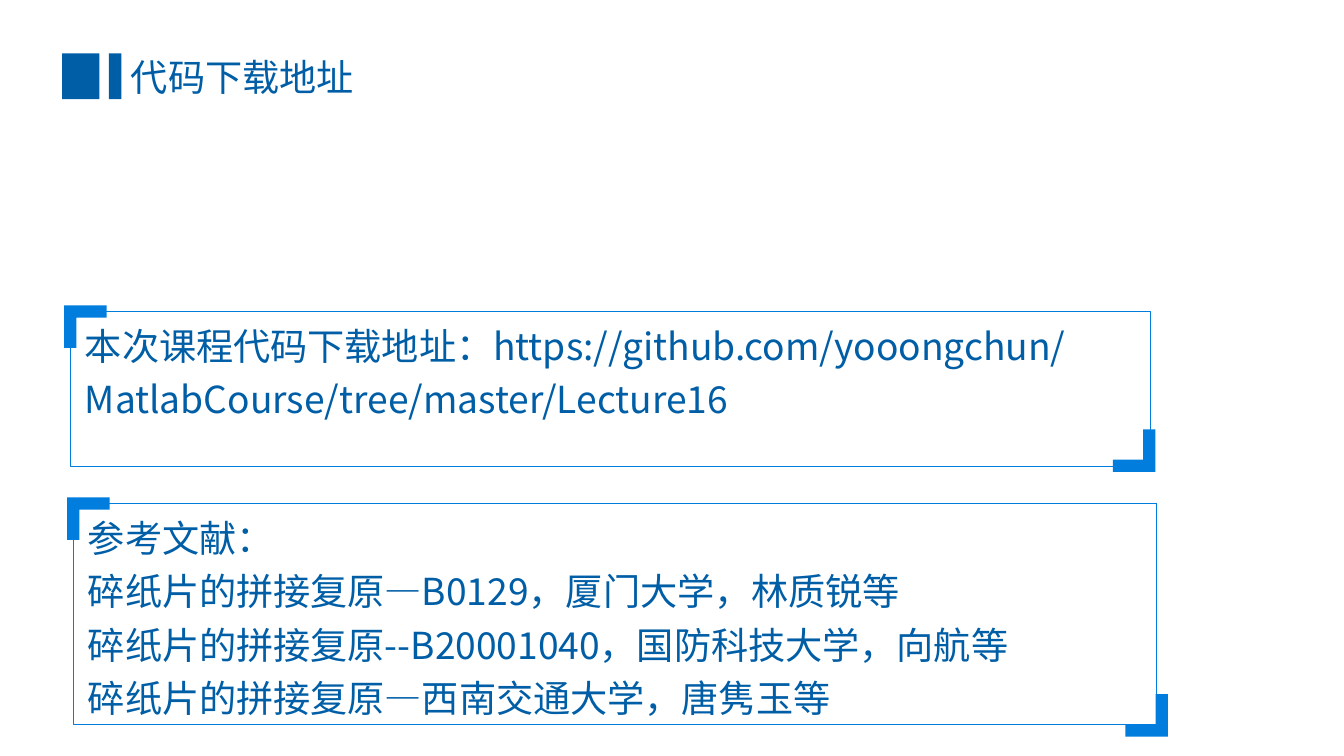
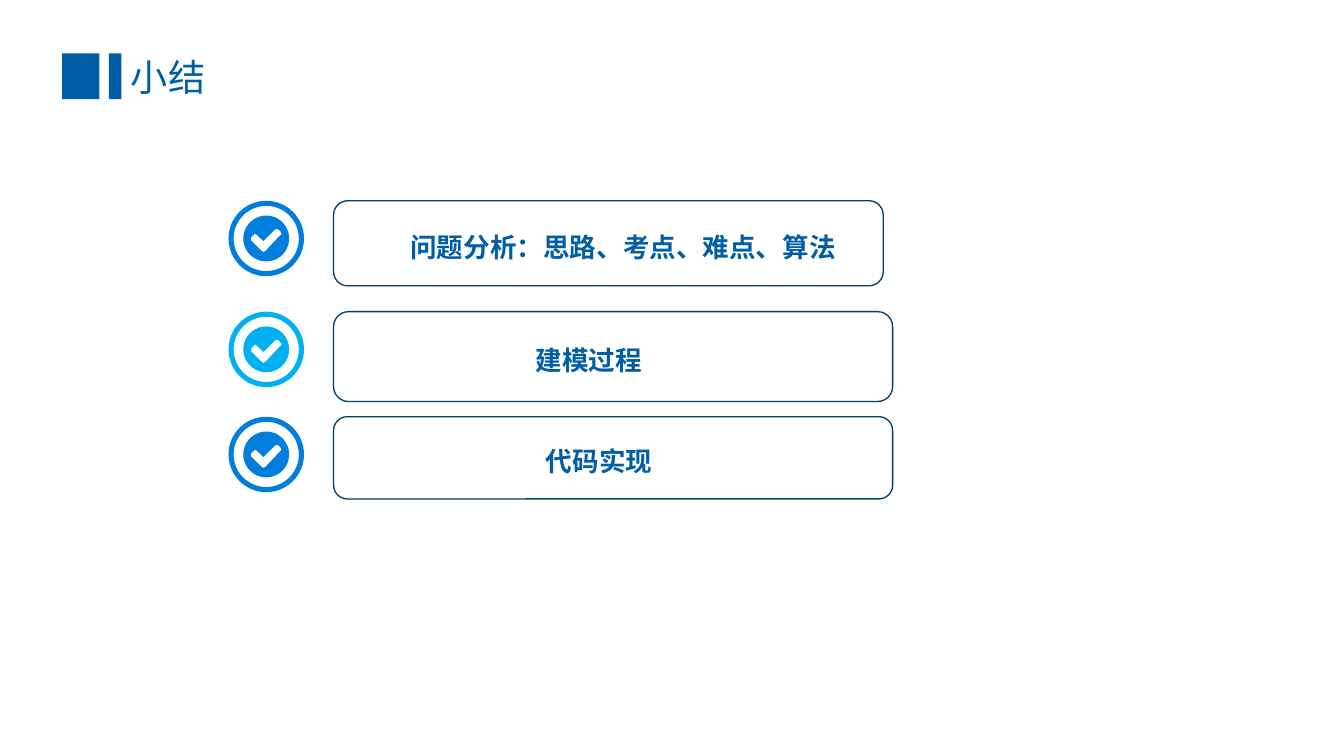
from pptx import Presentation
from pptx.dml.color import RGBColor
from pptx.enum import shapes, text
from pptx.oxml import ns
from pptx.util import Inches, Pt

NAVY = RGBColor(0x00, 0x5E, 0xA6)
BLUE = RGBColor(0x00, 0x7D, 0xDD)
SKY = RGBColor(0x00, 0xB0, 0xF2)
DARK = RGBColor(0x00, 0x3E, 0x6E)
FONT = "Noto Sans CJK SC"

WIDTH, HEIGHT = Inches(14.06), Inches(7.91)
COLUMNS = 100
CELL = WIDTH / COLUMNS

TITLE_ONLY, TWO_CONTENT = 5, 3
BRACKET_ARM, BRACKET_THICKNESS = 3.16, 0.91
BADGE_LEFT, BADGE_SIZE, DISC_SIZE = 17, 5.62, 3.41
CARD_LEFT = 24.82
TICK = [
    (0.81, 0.35), (0.77, 0.31), (0.73, 0.29), (0.69, 0.31), (0.44, 0.56),
    (0.29, 0.42), (0.25, 0.4), (0.17, 0.48), (0.17, 0.54), (0.4, 0.77),
    (0.44, 0.79), (0.48, 0.77), (0.81, 0.42), (0.83, 0.4),
]

REFERENCES = [
    "参考文献：",
    "碎纸片的拼接复原—B0129，厦门大学，林质锐等",
    "碎纸片的拼接复原--B20001040，国防科技大学，向航等",
    "碎纸片的拼接复原—西南交通大学，唐隽玉等",
]
DOWNLOAD = ["本次课程代码下载地址：https://github.com/yooongchun/MatlabCourse/tree/master/Lecture16"]
SUMMARY = [
    ("问题分析：思路、考点、难点、算法", 14.94, 40.9, 6.33, 5.4, BLUE),
    ("建模过程", 23.19, 41.6, 6.69, 14.7, SKY),
    ("代码实现", 31.01, 41.6, 6.12, 15.5, BLUE),
]


def cells(count):
    return round(count * CELL)


def place(shape, left, top, width, height):
    shape.left, shape.top = cells(left), cells(top)
    shape.width, shape.height = cells(width), cells(height)


def paint(shape, color):
    shape.shadow.inherit = False
    shape.fill.solid()
    shape.fill.fore_color.rgb = color
    shape.line.fill.background()


def outline(shape, color, width):
    shape.fill.background()
    shape.line.color.rgb = color
    shape.line.width = Pt(width)


def add_filled(page, kind, left, top, width, height, color):
    shape = page.shapes.add_shape(kind, *map(cells, (left, top, width, height)))
    paint(shape, color)
    return shape


def add_polygon(page, points, color):
    corners = [(cells(x), cells(y)) for x, y in points]
    builder = page.shapes.build_freeform(*corners[0], scale=1.0)
    builder.add_line_segments(corners[1:], close=True)
    paint(builder.convert_to_shape(), color)


def write(box, lines, size, bold=False, spacing=1.0):
    frame = box.text_frame
    frame.text = "\n".join(lines)
    frame.word_wrap = True
    frame.auto_size = text.MSO_AUTO_SIZE.NONE
    for para in frame.paragraphs:
        properties = para._p.get_or_add_pPr()
        properties.set("marL", "0")
        properties.set("indent", "0")
        properties.get_or_add_defRPr().addprevious(
            properties.makeelement(ns.qn("a:buNone"), {}))
        para.alignment = text.PP_ALIGN.LEFT
        para.space_before = Pt(0)
        para.line_spacing = spacing
        for span in para.runs:
            span.font.name = FONT
            span.font.size = Pt(size)
            span.font.bold = bold
            span.font.color.rgb = NAVY
            span.font._element.find(ns.qn("a:latin")).addnext(
                span._r.makeelement(ns.qn("a:ea"), {"typeface": FONT}))


def set_margins(frame, left=0, top=0, right=0, bottom=0):
    frame.margin_left, frame.margin_top = cells(left), cells(top)
    frame.margin_right, frame.margin_bottom = cells(right), cells(bottom)


def add_page(deck, layout, title):
    page = deck.slides.add_slide(deck.slide_layouts[layout])
    place(page.shapes.title, 9.03, 3.7, 37.7, 4.05)
    write(page.shapes.title, [title], 28)
    page.shapes.title.text_frame.vertical_anchor = text.MSO_ANCHOR.TOP
    for left, width in ((4.62, 2.77), (8.11, 0.92)):
        add_filled(page, shapes.MSO_SHAPE.RECTANGLE, left, 3.98, width, 3.41, NAVY)
    return page


def add_bracket(page, left, top, direction):
    arm, thick = BRACKET_ARM, BRACKET_THICKNESS
    steps = [(0, 0), (arm, 0), (arm, thick), (thick, thick), (thick, arm), (0, arm)]
    add_polygon(page, [(left + direction * x, top + direction * y) for x, y in steps], BLUE)


def fill_panel(page, box, lines, left, top, width, height, overhang):
    place(box, left, top, width, height)
    outline(box, BLUE, 0.25)
    write(box, lines, 28, spacing=1.2)
    set_margins(box.text_frame, left=1.13, top=0.25, right=0.2)
    box.text_frame.vertical_anchor = text.MSO_ANCHOR.TOP
    add_bracket(page, left - 0.42, top - 0.4, 1)
    add_bracket(page, left + width + overhang, top + height + overhang, -1)


def add_badge(page, top, color):
    ring = add_filled(page, shapes.MSO_SHAPE.DONUT, BADGE_LEFT, top, BADGE_SIZE, BADGE_SIZE, color)
    ring.adjustments[0] = 0.068
    gap = (BADGE_SIZE - DISC_SIZE) / 2
    left, top = BADGE_LEFT + gap, top + gap
    add_filled(page, shapes.MSO_SHAPE.OVAL, left, top, DISC_SIZE, DISC_SIZE, color)
    points = [(left + x * DISC_SIZE, top + y * DISC_SIZE) for x, y in TICK]
    add_polygon(page, points, RGBColor(0xFF, 0xFF, 0xFF))


def add_card(page, label, top, width, height, indent):
    card = page.shapes.add_shape(
        shapes.MSO_SHAPE.ROUNDED_RECTANGLE, *map(cells, (CARD_LEFT, top, width, height)))
    card.shadow.inherit = False
    outline(card, DARK, 1)
    write(card, [label], 20, bold=True, spacing=1.2)
    set_margins(card.text_frame, left=indent)
    card.text_frame.vertical_anchor = text.MSO_ANCHOR.MIDDLE


def add_download_page(deck):
    page = add_page(deck, TWO_CONTENT, "代码下载地址")
    download, references = list(page.placeholders)[1:3]
    fill_panel(page, download, DOWNLOAD, 5.19, 23.12, 80.37, 11.59, 0.4)
    fill_panel(page, references, REFERENCES, 5.41, 37.41, 80.58, 16.5, 0.9)


def add_summary_page(deck):
    page = add_page(deck, TITLE_ONLY, "小结")
    for label, top, width, height, indent, color in SUMMARY:
        add_badge(page, top, color)
        add_card(page, label, top, width, height, indent)


def main():
    deck = Presentation()
    deck.slide_width, deck.slide_height = WIDTH, HEIGHT
    add_download_page(deck)
    add_summary_page(deck)
    deck.save("out.pptx")


if __name__ == "__main__":
    main()
